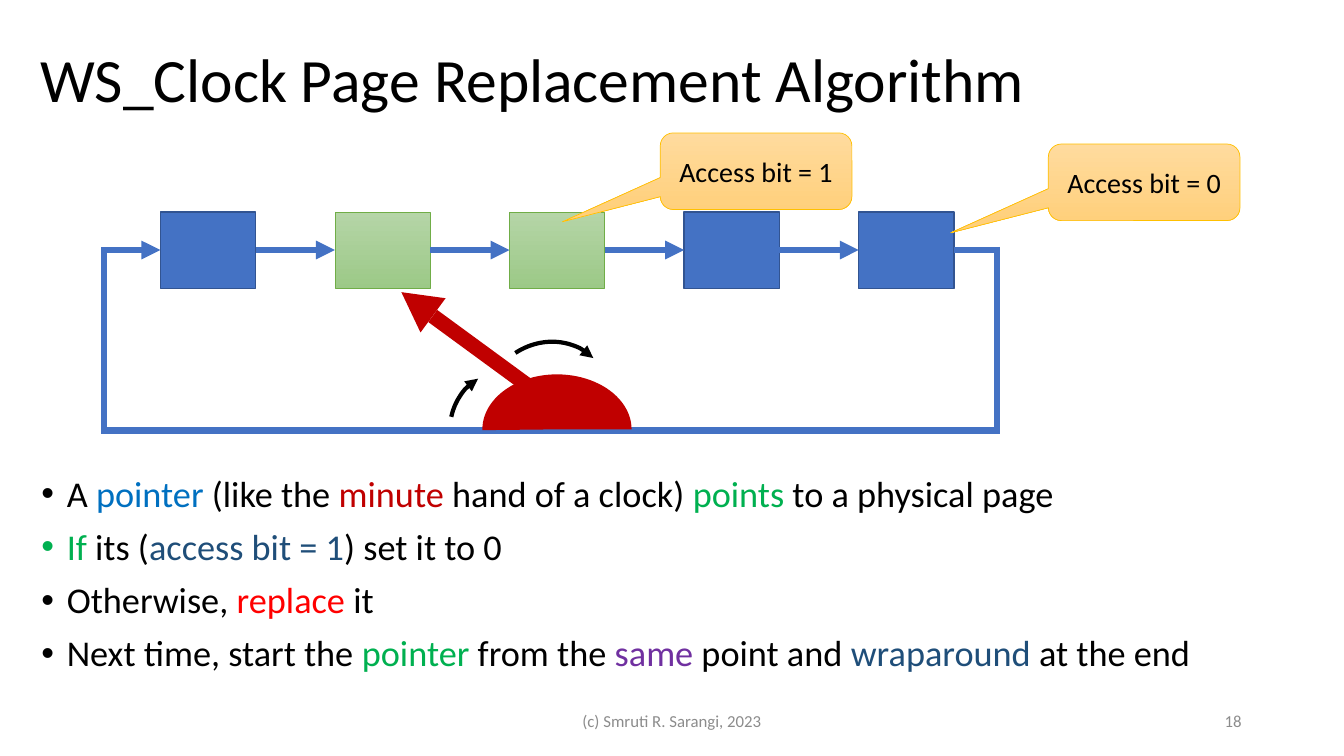
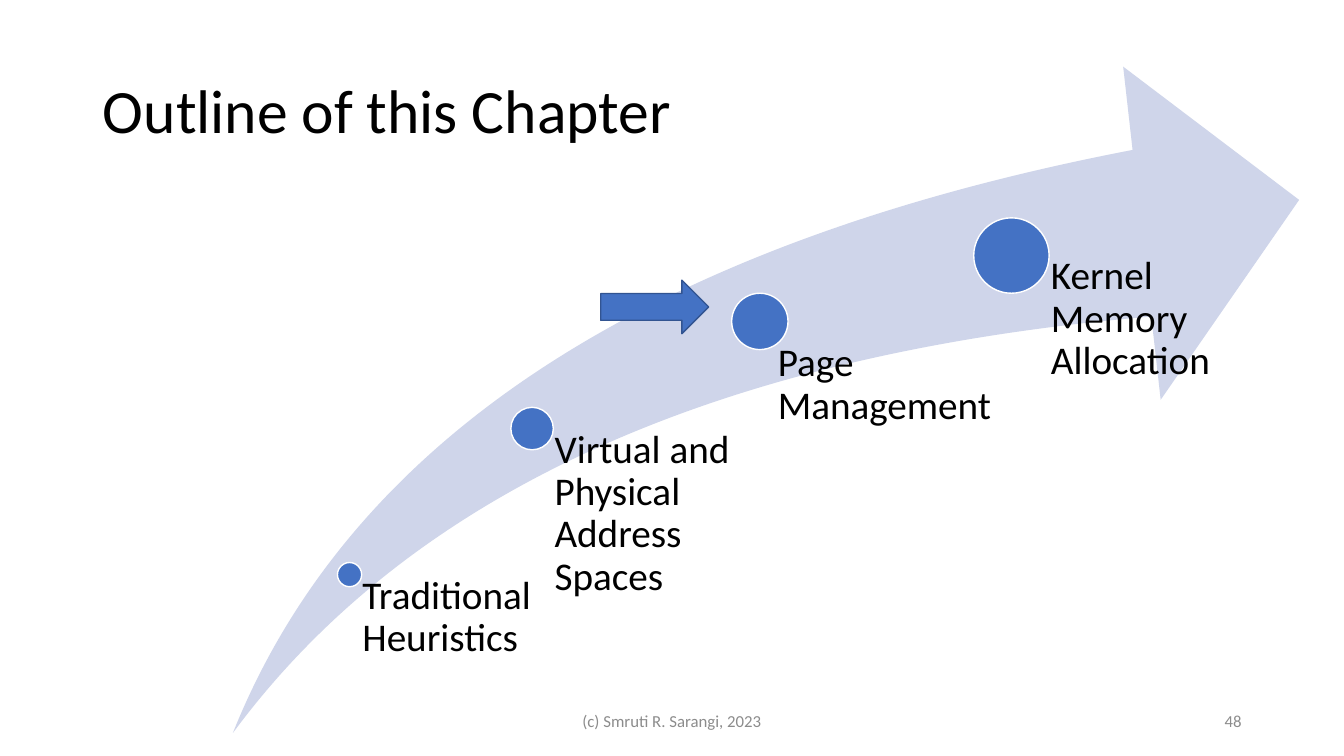
from lxml import etree
from pptx import Presentation
from pptx.dml.color import RGBColor
from pptx.enum import shapes, text
from pptx.oxml.ns import qn
from pptx.util import Cm, Pt

rgb = RGBColor.from_string
SHAPE = shapes.MSO_SHAPE
BLACK, WHITE, GREY = "000000", "FFFFFF", "8C8C8C"
BLUE, DARK_BLUE, PALE_BLUE = "4472C4", "325491", "CFD5EA"
RED, GREEN, NAVY = "C00000", "00B050", "1F4E79"
GREEN_FADE, ORANGE_FADE = ("B5D5A7", "9CC987"), ("FFDB9E", "FFD07C")


def style(s, fill=None, line=None, pt=1, arrow=False):
    """Set fill (a hex string, or a pair for a vertical fade) and line; drop the shadow."""
    if isinstance(fill, tuple):
        s.fill.gradient()
        s.fill.gradient_angle = 270
        for stop, color in zip(s.fill.gradient_stops, fill):
            stop.color.rgb = rgb(color)
    elif fill:
        s.fill.solid()
        s.fill.fore_color.rgb = rgb(fill)
    if line:
        s.line.color.rgb = rgb(line)
        s.line.width = Pt(pt)
    else:
        s.line.fill.background()
    spPr = s._element.spPr
    if arrow:
        etree.SubElement(spPr.find(qn("a:ln")), qn("a:tailEnd"), type="triangle")
    etree.SubElement(spPr, qn("a:effectLst"))


def add_runs(p, runs, size):
    for words, color in runs:
        r = p.add_run()
        r.text = words
        r.font.name = "Calibri"
        r.font.size = Pt(size)
        r.font.color.rgb = rgb(color)


prs = Presentation()
prs.slide_width, prs.slide_height = Cm(33.87), Cm(19.05)

# Title and footer of every slide
slides = []
for layout, title, left, top, number in [
    (1, "WS_Clock Page Replacement Algorithm", 0.76, 0.25, "18"),
    (5, "Outline of this Chapter", 2.34, 1.02, "48"),
]:
    s = prs.slides.add_slide(prs.slide_layouts[layout])
    slides.append(s)
    sp = s.shapes.title
    sp.left, sp.top, sp.width, sp.height = Cm(left), Cm(top), Cm(29.21), Cm(3.68)
    tf = sp.text_frame
    tf.auto_size = text.MSO_AUTO_SIZE.NONE
    tf.vertical_anchor = text.MSO_ANCHOR.MIDDLE
    p = tf.paragraphs[0]
    p.alignment = text.PP_ALIGN.LEFT
    p.line_spacing = 0.9
    add_runs(p, [(title, BLACK)], 44)
    for words, x, width, align in [
        ("(c) Smruti R. Sarangi, 2023", 11.22, 11.43, text.PP_ALIGN.CENTER),
        (number, 23.92, 7.62, text.PP_ALIGN.RIGHT),
    ]:
        tf = s.shapes.add_textbox(Cm(x), Cm(17.65), Cm(width), Cm(1.01)).text_frame
        tf.word_wrap = True
        tf.vertical_anchor = text.MSO_ANCHOR.MIDDLE
        tf.paragraphs[0].alignment = align
        add_runs(tf.paragraphs[0], [(words, GREY)], 12)

clock, outline = slides

# Clock slide: bullets
sp = clock.placeholders[1]
sp.left, sp.top, sp.width, sp.height = Cm(0.79), Cm(11.86), Cm(30.58), Cm(5.59)
tf = sp.text_frame
tf.auto_size = text.MSO_AUTO_SIZE.NONE
bullets = [
    [("A ", BLACK), ("pointer", "0070C0"), (" (like the ", BLACK), ("minute", RED),
     (" hand of a clock) ", BLACK), ("points", GREEN), (" to a physical page", BLACK)],
    [("If", GREEN), (" its (", BLACK), ("access bit = 1", NAVY), (") set it to 0", BLACK)],
    [("Otherwise, ", BLACK), ("replace", "FF0000"), (" it", BLACK)],
    [("Next time, start the ", BLACK), ("pointer", GREEN), (" from the ", BLACK),
     ("same", "7030A0"), (" point and ", BLACK), ("wraparound", NAVY),
     (" at the end", BLACK)],
]
for i, runs in enumerate(bullets):
    p = tf.add_paragraph() if i else tf.paragraphs[0]
    pPr = p._p.get_or_add_pPr()
    pPr.set("marL", str(Cm(0.64)))
    pPr.set("indent", str(Cm(-0.64)))
    p.line_spacing = 0.9
    p.space_before = Pt(10 if i else 0)
    add_runs(p, runs, 25.9)

# Clock slide: ring of pages
PAGE_LEFT, PAGE_TOP, PAGE_W, PAGE_H, PITCH = 4.04, 5.34, 2.4, 1.93, 4.4
RING_LEFT, RING_RIGHT, RING_TOP, RING_BOTTOM = 2.62, 25.12, 6.3, 10.85
HALF_LINE = 0.08
page_lefts = [PAGE_LEFT + i * PITCH for i in range(5)]
for i, x in enumerate(page_lefts):
    sp = clock.shapes.add_shape(SHAPE.RECTANGLE, Cm(x), Cm(PAGE_TOP), Cm(PAGE_W), Cm(PAGE_H))
    if i in (1, 2):
        style(sp, GREEN_FADE, "70AD47", 0.5)
    else:
        style(sp, BLUE, DARK_BLUE)

links = [(x + PAGE_W, RING_TOP, x + PITCH, RING_TOP, True) for x in page_lefts[:-1]]
links += [
    (page_lefts[-1] + PAGE_W, RING_TOP, RING_RIGHT, RING_TOP, False),
    (RING_RIGHT, RING_TOP - HALF_LINE, RING_RIGHT, RING_BOTTOM + HALF_LINE, False),
    (RING_RIGHT, RING_BOTTOM, RING_LEFT, RING_BOTTOM, False),
    (RING_LEFT, RING_BOTTOM + HALF_LINE, RING_LEFT, RING_TOP - HALF_LINE, False),
    (RING_LEFT, RING_TOP, PAGE_LEFT, RING_TOP, True),
]
for x1, y1, x2, y2, arrow in links:
    c = clock.shapes.add_connector(
        shapes.MSO_CONNECTOR.STRAIGHT, Cm(x1), Cm(y1), Cm(x2), Cm(y2))
    style(c, line=BLUE, pt=4.5, arrow=arrow)

for words, x, y in [("Access bit = 0", 26.42, 3.63), ("Access bit = 1", 16.64, 3.35)]:
    sp = clock.shapes.add_shape(
        SHAPE.ROUNDED_RECTANGULAR_CALLOUT, Cm(x), Cm(y), Cm(4.83), Cm(1.93))
    for i, value in enumerate((-1.01, 0.66, 0.17)):
        sp.adjustments[i] = value
    style(sp, ORANGE_FADE, "FFC000", 0.5)
    tf = sp.text_frame
    tf.vertical_anchor = text.MSO_ANCHOR.MIDDLE
    tf.paragraphs[0].alignment = text.PP_ALIGN.CENTER
    add_runs(tf.paragraphs[0], [(words, BLACK)], 20)

# Clock slide: hand and its turning arrows
for kind, x, y, w, h, turn, adjustments in [
    (SHAPE.PIE, 12.65, 8.94, 2.77, 3.76, 90, (53.62, 162)),
    (SHAPE.ISOSCELES_TRIANGLE, 9.98, 7.16, 1.07, 0.99, 306.2, ()),
    (SHAPE.RECTANGLE, 12.04, 7.29, 0.38, 3.28, 306.2, ()),
    (SHAPE.ARC, 11.23, 9.45, 3.25, 3, 246.1, (186.43, 212.45)),
    (SHAPE.ARC, 12.17, 8.66, 3.25, 3, 321.4, (165.67, 212.45)),
]:
    sp = clock.shapes.add_shape(kind, Cm(x), Cm(y), Cm(w), Cm(h))
    sp.rotation = turn
    for i, value in enumerate(adjustments):
        sp.adjustments[i] = value
    if kind == SHAPE.ARC:
        sp.fill.background()
        style(sp, line=BLACK, pt=3, arrow=True)
    else:
        style(sp, RED)

# Outline slide: swoosh with growing dots
sp = outline.shapes.add_shape(SHAPE.SWOOSH_ARROW, Cm(5.87), Cm(1.68), Cm(26.87), Cm(16.79))
sp.adjustments[0] = sp.adjustments[1] = 0.25
style(sp, PALE_BLUE)

LABEL_BOTTOM = 18.49
for lines, cx, cy, size, x, y, width in [
    (["Traditional Heuristics"], 8.81, 14.48, 0.61, 8.81, 14.5, 4.6),
    (["Virtual and Physical Address Spaces"], 13.41, 10.8, 1.07, 13.41, 10.82, 5.64),
    (["Page", "Management"], 19.15, 8.1, 1.42, 18.85, 8.64, 9.53),
    (["Kernel Memory Allocation"], 25.49, 6.44, 1.9, 25.48, 6.45, 5.64),
]:
    sp = outline.shapes.add_shape(
        SHAPE.OVAL, Cm(cx - size / 2), Cm(cy - size / 2), Cm(size), Cm(size))
    style(sp, BLUE, WHITE)
    tf = outline.shapes.add_textbox(
        Cm(x), Cm(y), Cm(width), Cm(LABEL_BOTTOM - y)).text_frame
    tf.word_wrap = True
    tf.margin_left = Cm(0.53 * size)
    tf.margin_top = tf.margin_right = tf.margin_bottom = 0
    p = tf.paragraphs[0]
    p.line_spacing = 0.9
    for i, words in enumerate(lines):
        if i:
            p.add_line_break()
        add_runs(p, [(words, BLACK)], 28)

sp = outline.shapes.add_shape(SHAPE.RIGHT_ARROW, Cm(15.14), Cm(7.06), Cm(2.72), Cm(1.35))
style(sp, BLUE, DARK_BLUE)

prs.save("out.pptx")
